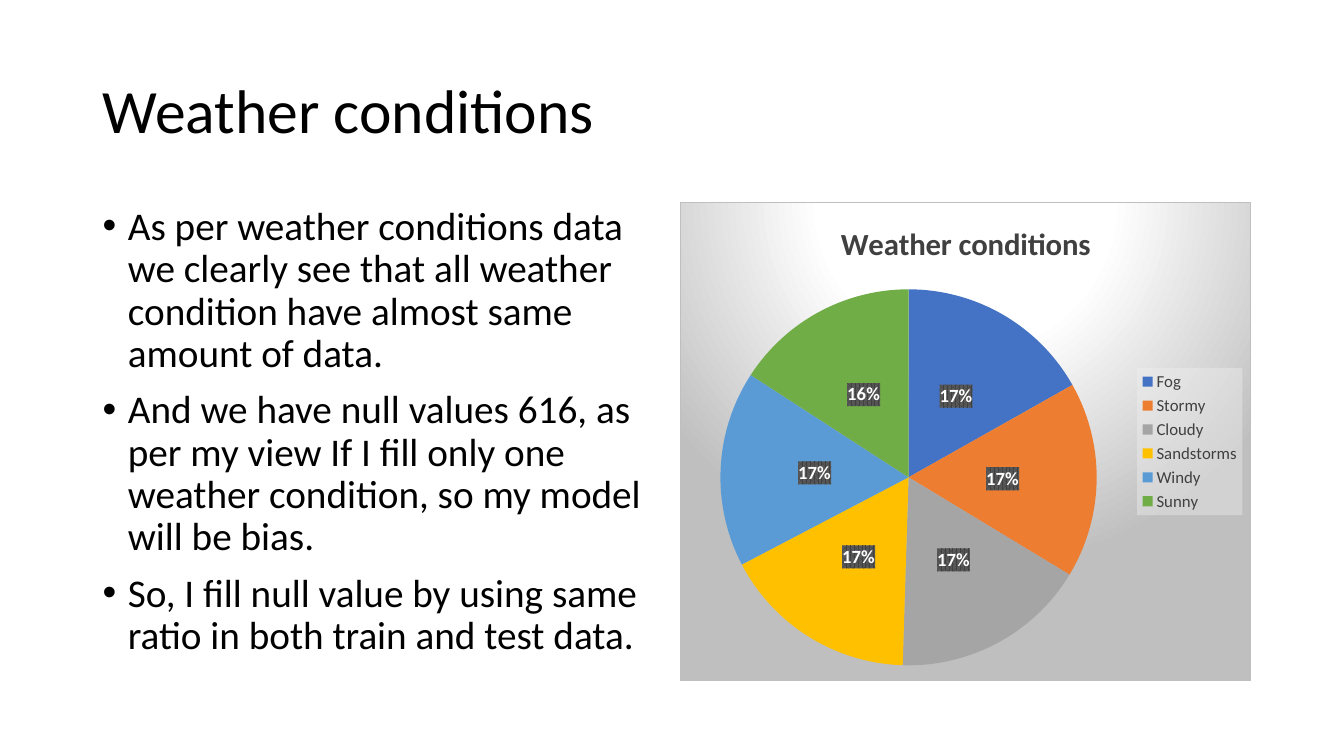
from lxml import etree
from pptx import Presentation
from pptx.chart.data import CategoryChartData
from pptx.dml.color import RGBColor
from pptx.enum.chart import XL_CHART_TYPE as ChartType
from pptx.enum.chart import XL_LABEL_POSITION as LabelPosition
from pptx.enum.chart import XL_LEGEND_POSITION as LegendPosition
from pptx.enum.text import MSO_ANCHOR as Anchor
from pptx.oxml import parse_xml
from pptx.oxml.ns import nsdecls, qn
from pptx.util import Inches, Pt

FONT = "Calibri"
COLORS = {"text": "000000", "chart text": "404040", "label": "FFFFFF",
          "label line": "595959", "light": "FFFFFF", "edge": "BFBFBF",
          "legend": "F2F2F2"}
WEATHER = {"Fog": (17, "4472C4"), "Stormy": (17, "ED7D31"),
           "Cloudy": (17, "A5A5A5"), "Sandstorms": (17, "FFC000"),
           "Windy": (17, "5B9BD5"), "Sunny": (16, "70AD47")}
TITLE = "Weather conditions"
POINTS = [
    "As per weather conditions data we clearly see that all weather "
    "condition have almost same amount of data.",
    "And we have null values 616, as per my view If I fill only one "
    "weather condition, so my model will be bias.",
    "So, I fill null value by using same ratio in both train and test data.",
]

# Two equal columns between the side margins
WIDTH, HEIGHT, MARGIN, GUTTER = 13.33, 7.5, 0.92, 0.16
COLUMN = (WIDTH - 2 * MARGIN - GUTTER) / 2
BODY_TOP, BODY_HEIGHT = 2, 4.76


def style(font, size, color, bold=False):
    """Set the typeface, size, colour and weight of a font."""
    font.name, font.size, font.bold = FONT, Pt(size), bold
    font.color.rgb = RGBColor.from_string(COLORS[color])


def shape_properties(content):
    """Return a chart spPr element that holds the given drawing XML."""
    return parse_xml(f'<c:spPr {nsdecls("c", "a")}>{content}</c:spPr>')


deck = Presentation()
deck.slide_width, deck.slide_height = Inches(WIDTH), Inches(HEIGHT)
page = deck.slides.add_slide(deck.slide_layouts[6])

# Heading and bullet list
for texts, top, width, height, size, anchor in (
        ([TITLE], 0.4, WIDTH - 2 * MARGIN, 1.45, 44, Anchor.MIDDLE),
        (POINTS, BODY_TOP, COLUMN, BODY_HEIGHT, 28, Anchor.TOP)):
    box = page.shapes.add_textbox(Inches(MARGIN), Inches(top),
                                  Inches(width), Inches(height))
    frame = box.text_frame
    frame.word_wrap, frame.vertical_anchor = True, anchor
    frame.text = "\n".join(texts)
    for para in frame.paragraphs:
        style(para.font, size, "text")
        para.line_spacing = 0.9
        if texts is POINTS:
            para.space_before = Pt(10)
            settings = para._p.get_or_add_pPr()
            settings.set("marL", str(Inches(0.25)))
            settings.set("indent", str(-Inches(0.25)))
            bullet_font = parse_xml(f'<a:buFont {nsdecls("a")} typeface="Arial"/>')
            bullet = parse_xml(f'<a:buChar {nsdecls("a")} char="•"/>')
            settings.find(qn("a:spcBef")).addnext(bullet_font)
            bullet_font.addnext(bullet)

# Pie chart
data = CategoryChartData()
data.categories = list(WEATHER)
data.add_series(TITLE, [share for share, color in WEATHER.values()])
chart = page.shapes.add_chart(
    ChartType.PIE, Inches(MARGIN + COLUMN + GUTTER), Inches(BODY_TOP),
    Inches(COLUMN), Inches(BODY_HEIGHT), data).chart
style(chart.font, 10, "text")
chart.has_title = True
chart.chart_title.text_frame.text = TITLE
style(chart.chart_title.text_frame.paragraphs[0].font, 22, "chart text", True)
chart.chart_title.include_in_layout = False

plot = chart.plots[0]
plot.vary_by_categories = True
for index, (share, color) in enumerate(WEATHER.values()):
    fill = plot.series[0].points[index].format.fill
    fill.solid()
    fill.fore_color.rgb = RGBColor.from_string(color)

plot.has_data_labels = True
labels = plot.data_labels
labels.show_percentage, labels.show_value = True, False
labels.number_format, labels.number_format_is_linked = "0%", False
labels.position = LabelPosition.CENTER
style(labels.font, 13.3, "label", True)
labels._element.find(qn("c:txPr")).addprevious(shape_properties(
    '<a:pattFill prst="pct75">'
    f'<a:fgClr><a:srgbClr val="{COLORS["chart text"]}"/></a:fgClr>'
    f'<a:bgClr><a:srgbClr val="{COLORS["label line"]}"/></a:bgClr>'
    '</a:pattFill>'))

chart.has_legend = True
legend = chart.legend
legend.position, legend.include_in_layout = LegendPosition.RIGHT, False
style(legend.font, 12, "chart text")
legend._element.find(qn("c:txPr")).addprevious(shape_properties(
    f'<a:solidFill><a:srgbClr val="{COLORS["legend"]}">'
    '<a:alpha val="39000"/></a:srgbClr></a:solidFill>'))

# Plot area as shares of the chart
layout = parse_xml(f'<c:layout {nsdecls("c")}><c:manualLayout/></c:layout>')
for tag, value in (("layoutTarget", "inner"), ("xMode", "edge"),
                   ("yMode", "edge"), ("x", 0.07), ("y", 0.18),
                   ("w", 0.66), ("h", 0.79)):
    etree.SubElement(layout[0], qn(f"c:{tag}")).set("val", str(value))
chart_root = chart._chartSpace
plot_area = chart_root.chart.plotArea
for unused in plot_area.findall(qn("c:layout")):
    plot_area.remove(unused)
plot_area.insert(0, layout)

# Radial background and thin border
stops = "".join(
    f'<a:gs pos="{place * 1000}"><a:srgbClr val="{COLORS[name]}"/></a:gs>'
    for place, name in ((0, "light"), (39, "light"), (100, "edge")))
chart_root.chart.addnext(shape_properties(
    f'<a:gradFill><a:gsLst>{stops}</a:gsLst><a:path path="circle">'
    '<a:fillToRect l="50000" t="-80000" r="50000" b="180000"/></a:path>'
    f'</a:gradFill><a:ln w="{Pt(0.75)}"><a:solidFill>'
    f'<a:srgbClr val="{COLORS["edge"]}"/></a:solidFill></a:ln>'))

deck.save("out.pptx")
